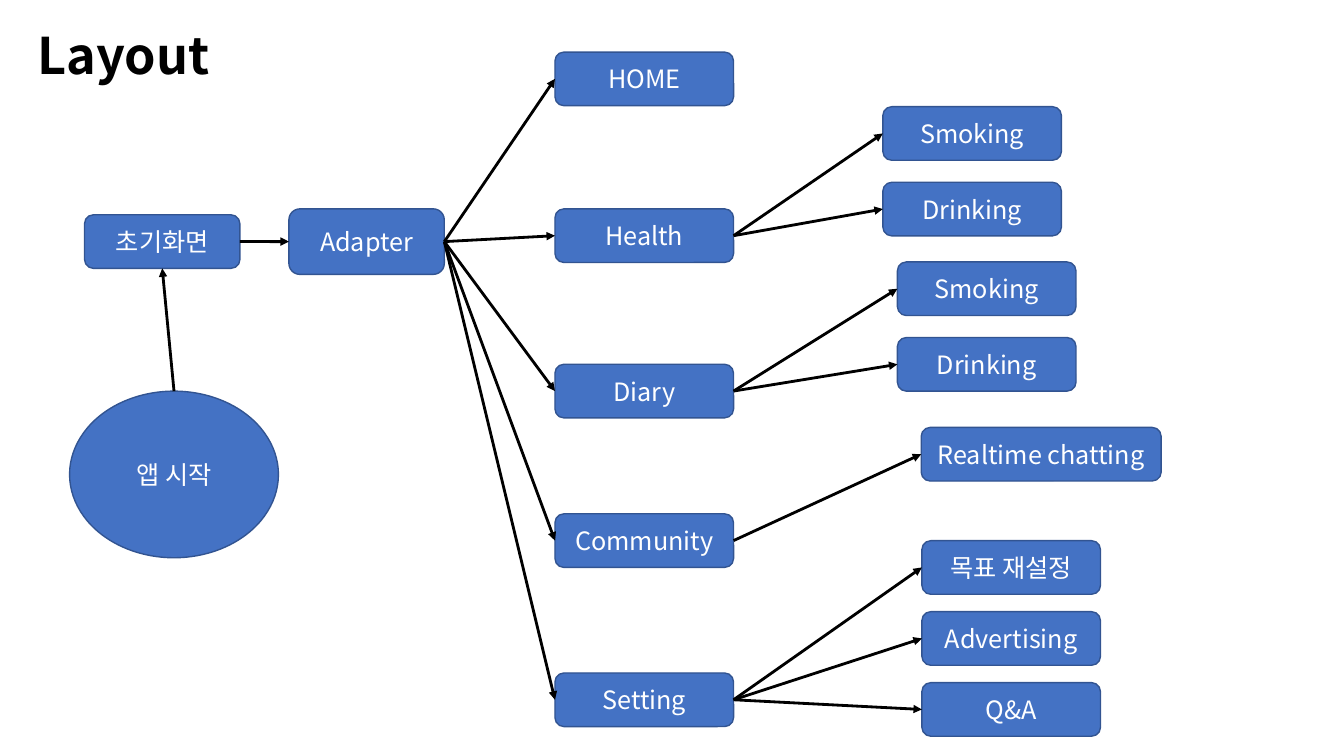
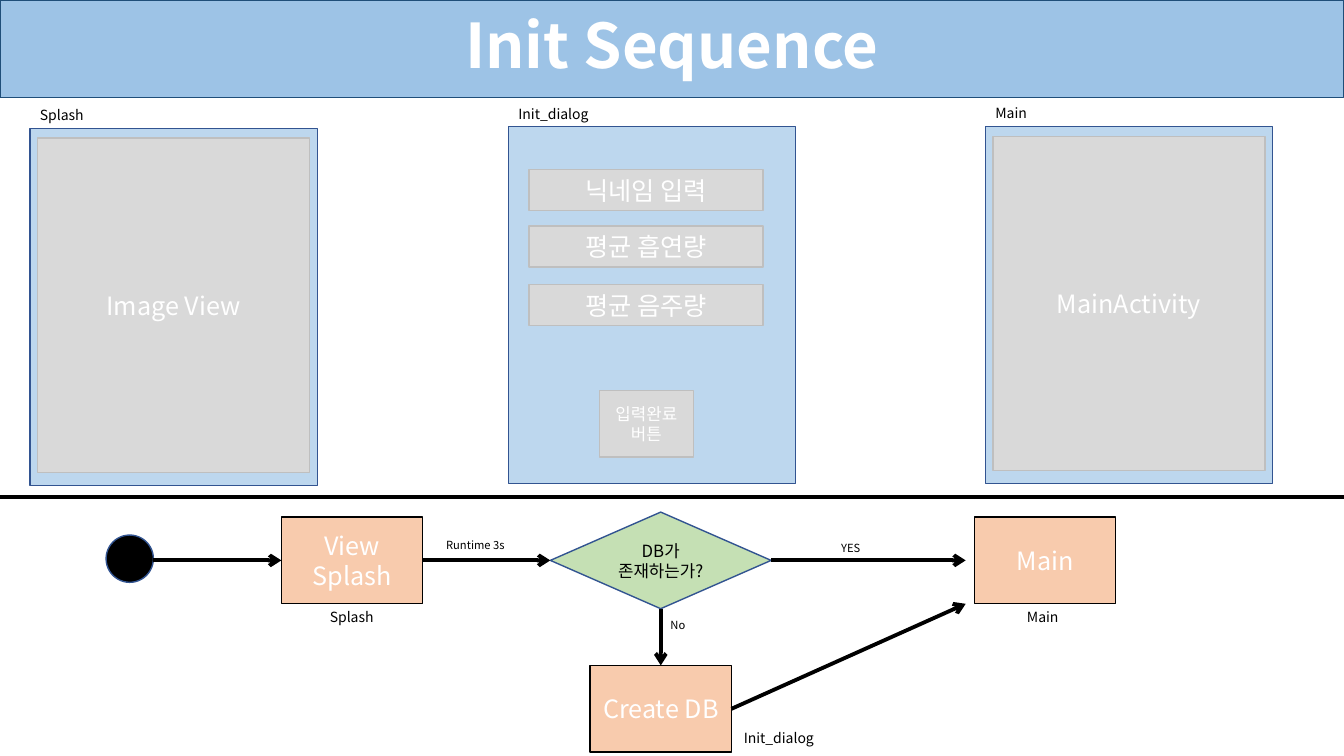
"""Build two slides: an app layout tree and the start-up sequence."""
from dataclasses import dataclass
from typing import Optional

from lxml.etree import SubElement
from pptx import Presentation
from pptx.dml.color import RGBColor
from pptx.enum.shapes import MSO_CONNECTOR, MSO_SHAPE
from pptx.enum.text import MSO_ANCHOR, MSO_AUTO_SIZE, PP_ALIGN
from pptx.oxml.ns import qn
from pptx.util import Pt


@dataclass(frozen=True)
class Look:
    size: float = 18
    color: str = "FFFFFF"
    fill: Optional[str] = None
    line: Optional[str] = None
    line_width: float = 1
    bold: bool = False
    align: PP_ALIGN = PP_ALIGN.CENTER
    anchor: MSO_ANCHOR = MSO_ANCHOR.MIDDLE
    spacing: float = 1.0


@dataclass(frozen=True)
class Theme:
    font: str = "Noto Sans CJK KR"
    ink: str = "000000"
    node: Look = Look(fill="4472C4", line="325491")
    heading: Look = Look(36, "000000", bold=True, align=PP_ALIGN.LEFT, anchor=MSO_ANCHOR.TOP)
    banner: Look = Look(44, fill="9DC3E6", line="1F4E79", line_width=0.75, bold=True, spacing=0.9)
    screen: Look = Look(fill="BDD7EE", line="325491")
    widget: Look = Look(fill="D9D9D9", line="BFBFBF")
    button: Look = Look(12, fill="D9D9D9", line="BFBFBF")
    step: Look = Look(fill="F8CBAD", line="000000")
    decision: Look = Look(12, "000000", fill="C5E0B4", line="325491")
    dot: Look = Look(fill="000000", line="325491")
    caption: Look = Look(10, "000000", align=PP_ALIGN.LEFT, anchor=MSO_ANCHOR.TOP)
    note: Look = Look(8, "000000", align=PP_ALIGN.LEFT, anchor=MSO_ANCHOR.TOP)


theme = Theme()


def style_shape(shape, text, look):
    shape.shadow.inherit = False
    if look.fill:
        shape.fill.solid()
        shape.fill.fore_color.rgb = RGBColor.from_string(look.fill)
        shape.line.color.rgb = RGBColor.from_string(look.line)
        shape.line.width = Pt(look.line_width)
    text_frame = shape.text_frame
    text_frame.text = text
    text_frame.word_wrap = True
    text_frame.auto_size = MSO_AUTO_SIZE.NONE
    text_frame.vertical_anchor = look.anchor
    for paragraph in text_frame.paragraphs:
        paragraph.alignment = look.align
        paragraph.line_spacing = look.spacing
        for run in paragraph.runs:
            run.font.size = Pt(look.size)
            run.font.bold = look.bold
            run.font.color.rgb = RGBColor.from_string(look.color)
            run.font.name = theme.font
            SubElement(run._r.get_or_add_rPr(), qn("a:ea"), typeface=theme.font)
    return shape


def draw_line(slide, start, end, width, head=None):
    connector = slide.shapes.add_connector(
        MSO_CONNECTOR.STRAIGHT, Pt(start[0]), Pt(start[1]), Pt(end[0]), Pt(end[1])
    )
    connector.line.color.rgb = RGBColor.from_string(theme.ink)
    connector.line.width = Pt(width)
    properties = connector.element.spPr
    if head:
        SubElement(properties.find(qn("a:ln")), qn("a:tailEnd"), type=head)
    SubElement(properties, qn("a:effectLst"))
    return connector


presentation = Presentation()
presentation.slide_width = Pt(960)
presentation.slide_height = Pt(540)

slides = []
for text, look, left, top, width, height in (
    ("Layout", theme.heading, 19.4, 13.7, 233.3, 51.1),
    ("Init Sequence", theme.banner, 0, 0, 960, 69.8),
):
    slide = presentation.slides.add_slide(presentation.slide_layouts[5])
    title = slide.shapes.title
    title.left, title.top, title.width, title.height = Pt(left), Pt(top), Pt(width), Pt(height)
    style_shape(title, text, look)
    slides.append(slide)
layout_slide, sequence_slide = slides

TOP, LEFT, BOTTOM, RIGHT = range(4)
node_width, node_height = 127.6, 38.3

entry_nodes = []
for text, kind, left, top, width, height in (
    ("앱 시작", MSO_SHAPE.OVAL, 49.7, 279.4, 149.2, 119),
    ("초기화면", MSO_SHAPE.ROUNDED_RECTANGLE, 60.4, 153.4, 111, node_height),
    ("Adapter", MSO_SHAPE.ROUNDED_RECTANGLE, 206.4, 149.2, 111, 46.8),
):
    shape = layout_slide.shapes.add_shape(kind, Pt(left), Pt(top), Pt(width), Pt(height))
    entry_nodes.append(style_shape(shape, text, theme.node))
app_start, first_screen, adapter = entry_nodes
links = [(app_start, TOP, first_screen, BOTTOM), (first_screen, RIGHT, adapter, LEFT)]

for menu_name, menu_top, child_left, child_top, pitch, child_width, children in (
    ("HOME", 37.2, 0, 0, 0, 0, ()),
    ("Health", 149.2, 630.6, 76.2, 54, node_width, ("Smoking", "Drinking")),
    ("Diary", 260.2, 641, 187.1, 54, node_width, ("Smoking", "Drinking")),
    ("Community", 367, 658, 305.3, 0, 171.4, ("Realtime chatting",)),
    ("Setting", 480.7, 658.5, 386.2, 50.7, node_width, ("목표 재설정", "Advertising", "Q&A")),
):
    menu = layout_slide.shapes.add_shape(
        MSO_SHAPE.ROUNDED_RECTANGLE, Pt(396.4), Pt(menu_top), Pt(node_width), Pt(node_height)
    )
    style_shape(menu, menu_name, theme.node)
    links.append((adapter, RIGHT, menu, LEFT))
    for index, child_name in enumerate(children):
        child = layout_slide.shapes.add_shape(
            MSO_SHAPE.ROUNDED_RECTANGLE,
            Pt(child_left), Pt(child_top + index * pitch), Pt(child_width), Pt(node_height),
        )
        style_shape(child, child_name, theme.node)
        links.append((menu, RIGHT, child, LEFT))

for source, source_side, target, target_side in links:
    connector = draw_line(layout_slide, (0, 0), (0, 0), 2, "triangle")
    connector.begin_connect(source, source_side)
    connector.end_connect(target, target_side)

flow_y = 400.3
step_width, step_height = 101, 62
for text, look, kind, left, top, width, height in (
    ("", theme.screen, MSO_SHAPE.RECTANGLE, 21.4, 92, 205.2, 254.9),
    ("Image View", theme.widget, MSO_SHAPE.RECTANGLE, 26.7, 98.6, 194.4, 239),
    ("", theme.screen, MSO_SHAPE.RECTANGLE, 363.2, 90.5, 205.2, 254.9),
    ("닉네임 입력", theme.widget, MSO_SHAPE.RECTANGLE, 378, 121, 167.2, 29.4),
    ("평균 흡연량", theme.widget, MSO_SHAPE.RECTANGLE, 378, 161.3, 167.2, 29.4),
    ("평균 음주량", theme.widget, MSO_SHAPE.RECTANGLE, 378, 203.2, 167.2, 29.4),
    ("입력완료버튼", theme.button, MSO_SHAPE.RECTANGLE, 428.2, 278.8, 67, 47.7),
    ("", theme.screen, MSO_SHAPE.RECTANGLE, 703.9, 90.5, 205.2, 254.9),
    ("MainActivity", theme.widget, MSO_SHAPE.RECTANGLE, 709.2, 97.3, 194.4, 239),
    ("", theme.dot, MSO_SHAPE.OVAL, 75.8, 382.2, 33.8, 33.8),
    ("View\nSplash", theme.step, MSO_SHAPE.RECTANGLE, 201, 369.3, step_width, step_height),
    ("DB가\n존재하는가?", theme.decision, MSO_SHAPE.DIAMOND, 393.1, 365.8, 157.7, 69),
    ("Main", theme.step, MSO_SHAPE.RECTANGLE, 696, 369.3, step_width, step_height),
    ("Create DB", theme.step, MSO_SHAPE.RECTANGLE, 421.5, 475.3, step_width, step_height),
):
    shape = sequence_slide.shapes.add_shape(kind, Pt(left), Pt(top), Pt(width), Pt(height))
    style_shape(shape, text, look)
    if kind == MSO_SHAPE.DIAMOND:
        shape.text_frame.word_wrap = False

for text, look, left, top, width, height in (
    ("Splash", theme.caption, 21.4, 72.7, 205.2, 19.4),
    ("Init_dialog", theme.caption, 363.2, 72, 205.2, 19.4),
    ("Main", theme.caption, 703.9, 70.8, 205.2, 19.4),
    ("Splash", theme.caption, 228.5, 431.3, 102.2, 19.4),
    ("Init_dialog", theme.caption, 524.2, 517.7, 69.8, 19.4),
    ("Main", theme.caption, 726.5, 431.3, 205.2, 19.4),
    ("Runtime 3s", theme.note, 311.5, 380.9, 65.5, 17),
    ("YES", theme.note, 593.7, 383, 65.5, 17),
    ("No", theme.note, 471.8, 437.8, 65.5, 17),
):
    caption = sequence_slide.shapes.add_textbox(Pt(left), Pt(top), Pt(width), Pt(height))
    style_shape(caption, text, look)

draw_line(sequence_slide, (0, 355), (960, 355), 2.25)
for start, end in (
    ((109.6, flow_y), (201, flow_y)),
    ((302, flow_y), (393.1, flow_y)),
    ((550.8, flow_y), (689.8, flow_y)),
    ((472, 434.8), (472, 475.3)),
    ((522.5, 506.3), (689.8, 431.3)),
):
    draw_line(sequence_slide, start, end, 2.75, "arrow")

presentation.save("out.pptx")
